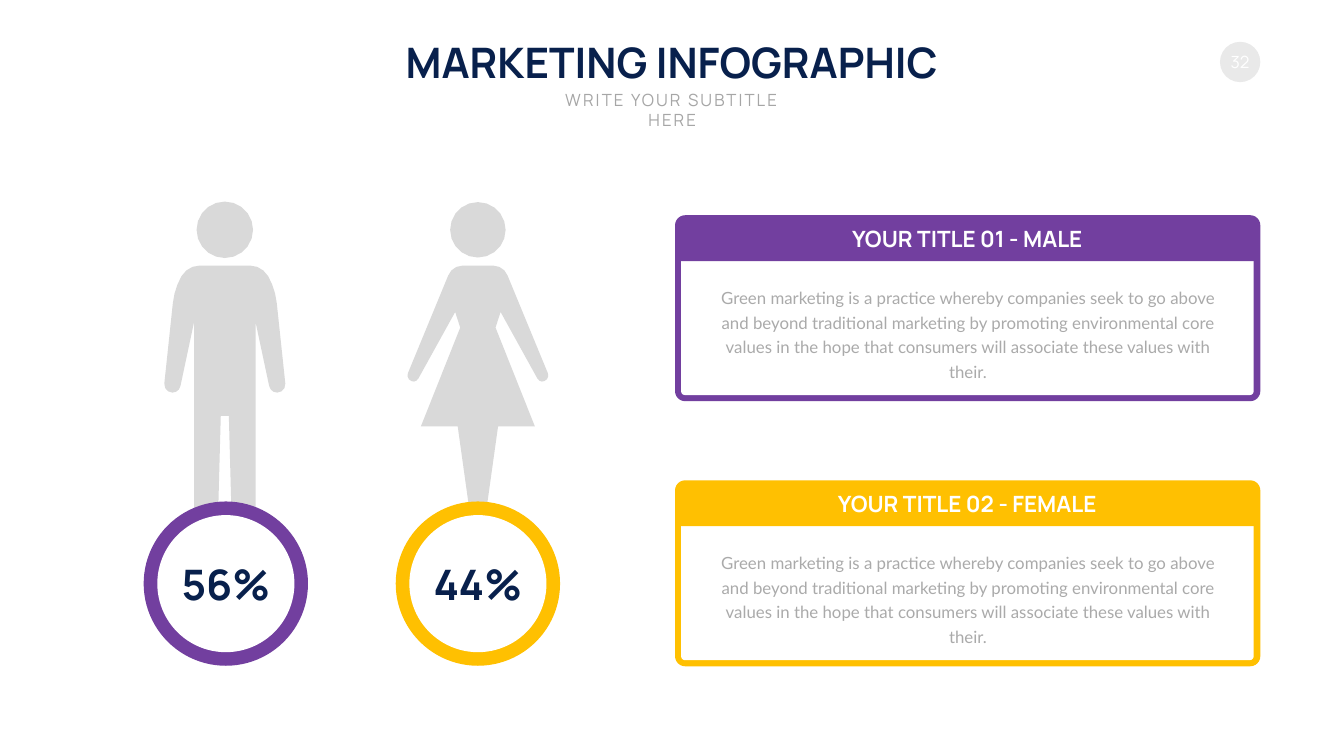
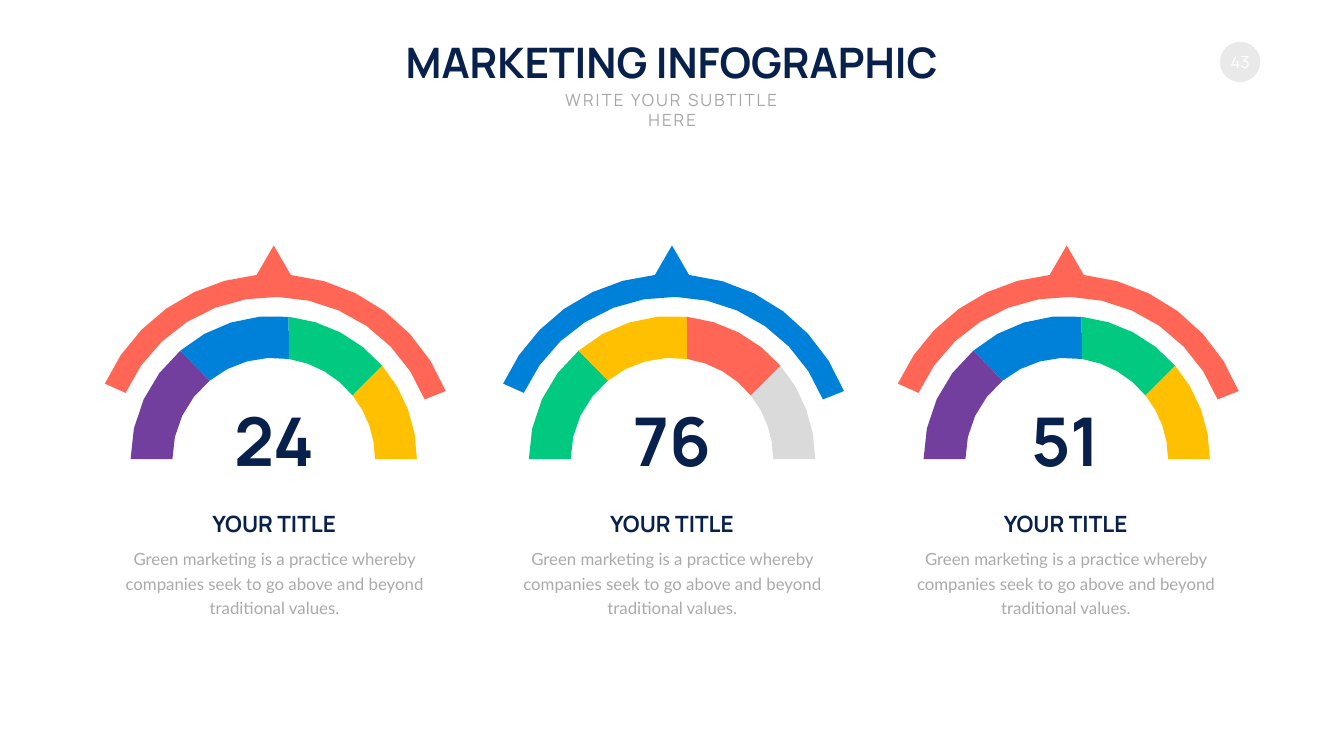
import math
import pptx
import pptx.util
import pptx.dml.color
import pptx.enum.shapes
import pptx.enum.text

Inches = pptx.util.Inches
Pt = pptx.util.Pt
Kind = pptx.enum.shapes.MSO_SHAPE
Anchor = pptx.enum.text.MSO_ANCHOR
center = pptx.enum.text.PP_ALIGN.CENTER
color = pptx.dml.color.RGBColor.from_string

navy, white, gray = "08204C", "FFFFFF", "D9D9D9"
purple, yellow, blue = "723F9F", "FFC001", "0081D9"
green, coral, silver = "02C980", "FF6656", "DADADA"


def paint(shape, fill):
    shape.shadow.inherit = False
    shape.fill.solid()
    shape.fill.fore_color.rgb = color(fill)
    shape.line.fill.background()
    return shape


def write(slide, text, box, size, ink, bold=True, body=False):
    frame = slide.shapes.add_textbox(*map(Inches, box)).text_frame
    frame.word_wrap = body
    frame.auto_size = pptx.enum.text.MSO_AUTO_SIZE.SHAPE_TO_FIT_TEXT
    frame.vertical_anchor = Anchor.TOP if body else Anchor.MIDDLE
    para = frame.paragraphs[0]
    para.text = text
    para.alignment = center
    para.font.name = "Lato" if body else "Manrope"
    para.font.size = Pt(size)
    para.font.bold = bold
    para.font.color.rgb = color(ink)
    if body:
        para.line_spacing = Pt(35)
        para.space_before = Pt(4.8)
    return frame


deck = pptx.Presentation()
deck.slide_width = Inches(26.66)
deck.slide_height = Inches(15)

for number in ("32", "43"):
    slide = deck.slides.add_slide(deck.slide_layouts[6])
    badge = slide.shapes.add_shape(Kind.OVAL, *map(Inches, (24.2, 0.83, 0.8, 0.8)))
    frame = paint(badge, "E9E9E9").text_frame
    frame.margin_left = frame.margin_right = 0
    frame.vertical_anchor = Anchor.MIDDLE
    para = frame.paragraphs[0]
    para.text = number
    para.alignment = center
    para.font.name = "Manrope"
    para.font.size = Pt(24)
    para.font.color.rgb = color(white)
    write(slide, "MARKETING INFOGRAPHIC", (7.71, 0.67, 11.23, 1.11), 60, navy)
    frame = write(slide, "WRITE YOUR SUBTITLE HERE", (10.62, 1.73, 5.43, 0.5),
                  24, "A6A6A6", bold=False)
    frame.vertical_anchor = Anchor.TOP
    frame.paragraphs[0].runs[0]._r.get_or_add_rPr().set("spc", "300")

people, gauges = deck.slides

male = [
    (0.5, 5.27), (0.65, 5.27, 0.78, 5.35, 0.86, 5.48),
    (0.95, 5.64, 1.01, 5.82, 1.03, 6.01), (1.2, 7.61),
    (1.21, 7.71, 1.13, 7.79, 1.04, 7.79), (0.96, 7.79, 0.9, 7.74, 0.88, 7.66),
    (0.61, 6.39), (0.61, 10.47), (0.14, 10.47), (0.08, 8.25),
]
female = [
    (0.3, 5.27), (0.43, 5.27, 0.55, 5.35, 0.59, 5.47), (1.39, 7.41),
    (1.41, 7.47, 1.38, 7.54, 1.32, 7.56), (1.27, 7.59, 1.21, 7.56, 1.18, 7.51),
    (0.45, 6.19), (0.35, 6.5), (1.13, 8.46), (0.4, 8.46), (0.13, 10.39),
]
story = ("Green marketing is a practice whereby companies seek to go above and beyond "
         "traditional marketing by promoting environmental core values in the hope that "
         "consumers will associate these values with their.")
groups = [
    (4.46, 4.48, male, 0.56, purple, "56%", 4.27, "YOUR TITLE 01 - MALE", 4.88),
    (9.48, 9.48, female, 0.55, yellow, "44%", 9.53, "YOUR TITLE 02 - FEMALE", 5.46),
]
for mid, hub, half, radius, tint, share, top, title, wide in groups:
    side = []
    for step in half:
        if len(step) == 2:
            side.append(step)
            continue
        knots = [side[-1], step[:2], step[2:4], step[4:]]
        for t in (k / 3 for k in range(1, 4)):
            mix = [(1 - t) ** 3, 3 * t * (1 - t) ** 2, 3 * t * t * (1 - t), t ** 3]
            side.append(tuple(sum(m * p[axis] for m, p in zip(mix, knots)) for axis in (0, 1)))
    body = side + [(-x, y) for x, y in reversed(side)]
    turns = [math.radians(a) for a in range(0, 360, 18)]
    head = [(radius * math.cos(a), 4.56 + radius * math.sin(a)) for a in turns]
    body, head = [[(Inches(mid + x), Inches(y)) for x, y in part] for part in (body, head)]
    form = people.shapes.build_freeform(*body[0])
    form.add_line_segments(body[1:])
    form.move_to(*head[0])
    form.add_line_segments(head[1:])
    paint(form.convert_to_shape(), gray)

    for reach, fill in ((1.63, tint), (1.36, white)):
        box = (hub - reach, 11.58 - reach, 2 * reach, 2 * reach)
        paint(people.shapes.add_shape(Kind.OVAL, *map(Inches, box)), fill)
    write(people, share, (hub - 1.02, 11.02, 2.04, 1.11), 60, navy)

    card = people.shapes.add_group_shape().shapes
    for kind, box, fill, bend in (
        (Kind.ROUNDED_RECTANGLE, (13.39, top, 11.61, 3.69), tint, 0.2),
        (Kind.ROUNDED_RECTANGLE, (13.51, top + 0.13, 11.36, 3.44), white, 0.08),
        (Kind.RECTANGLE, (13.5, top + 0.11, 11.41, 0.8), tint, 0),
    ):
        panel = paint(card.add_shape(kind, *map(Inches, box)), fill)
        if bend:
            panel.adjustments[0] = bend / box[3]
    write(people, title, (19.19 - wide / 2, top + 0.15, wide, 0.64), 32, white)
    write(people, story, (13.92, top + 1.31, 10.56, 1.52), 24, "AAAAAA", bold=False, body=True)

outer = [180, 130.7, 84, 40.7, 0]
inner = [180, 129.2, 81.4, 38.9, 0]
steps = [k / 4 for k in range(5)]
sweep = [k / 6 for k in range(7)]
for mid, axis, score, wide, arrow, tints in (
    (5.43, 5.44, "24", 1.68, coral, (purple, blue, green, yellow)),
    (13.33, 13.33, "76", 1.58, blue, (green, yellow, coral, silver)),
    (21.16, 21.14, "51", 1.38, coral, (purple, blue, green, yellow)),
):
    bands = []
    for k, tint in enumerate(tints):
        rim = [(2.84, outer[k] + (outer[k + 1] - outer[k]) * t) for t in steps]
        core = [(2.01, inner[k + 1] + (inner[k] - inner[k + 1]) * t) for t in steps]
        bands.append((rim + core, tint))
    left = [(3.67, 155.9 - 60.6 * t) for t in sweep]
    right = [(3.67, 84.7 - 63.1 * t) for t in sweep]
    under = [(3.22, 21.6 + 134.3 * k / 12) for k in range(13)]
    bands.append((left + [(4.24, 90)] + right + under, arrow))
    for polar, tint in bands:
        dots = [(Inches(mid + r * math.cos(math.radians(a))),
                 Inches(9.11 - r * math.sin(math.radians(a)))) for r, a in polar]
        form = gauges.shapes.build_freeform(*dots[0])
        form.add_line_segments(dots[1:])
        paint(form.convert_to_shape(), tint)

    frame = write(gauges, score, (axis - wide / 2, 7.92, wide, 1.62), 96, navy)
    frame.margin_left = frame.margin_right = frame.margin_top = frame.margin_bottom = 0
    write(gauges, "YOUR TITLE", (axis - 1.34, 10.07, 2.68, 0.64), 32, navy)
    write(gauges, "Green marketing is a practice whereby companies seek to go above and beyond "
          "traditional values.", (axis - 3.06, 10.76, 6.13, 1.52), 24, "AAAAAA",
          bold=False, body=True)

deck.save("out.pptx")
